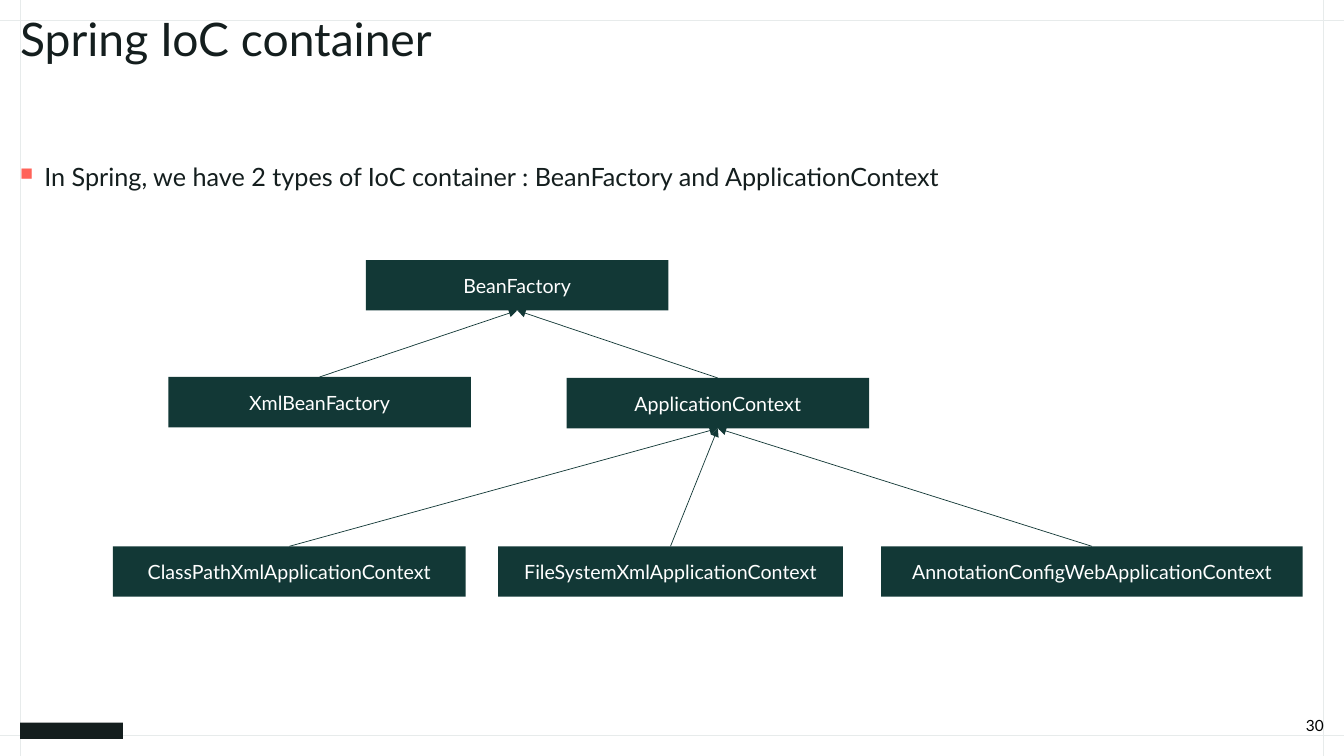
from lxml.etree import SubElement
from pptx import Presentation
from pptx.dml.color import RGBColor
from pptx.enum.shapes import MSO_CONNECTOR, MSO_SHAPE
from pptx.enum.text import MSO_ANCHOR, MSO_AUTO_SIZE, PP_ALIGN
from pptx.oxml.ns import qn
from pptx.util import Inches, Pt

INK = RGBColor(0x14, 0x1E, 0x1E)
GREEN = RGBColor(0x12, 0x38, 0x36)
CORAL = RGBColor(0xFF, 0x63, 0x59)
GUIDE = RGBColor(0xE7, 0xEB, 0xEB)
WHITE = RGBColor(0xFF, 0xFF, 0xFF)
BLACK = RGBColor(0x00, 0x00, 0x00)
FONT = "Lato"
BOX_HEIGHT = 0.5

CLASSES = {
    "BeanFactory": (2.51, 0, 3),
    "ApplicationContext": (4.5, 1.17, 3),
    "XmlBeanFactory": (0.55, 1.16, 3),
    "ClassPathXmlApplicationContext": (0, 2.84, 3.5),
    "FileSystemXmlApplicationContext": (3.82, 2.84, 3.42),
    "AnnotationConfigWebApplicationContext": (7.62, 2.84, 4.18),
}
PARENTS = {
    "ApplicationContext": "BeanFactory",
    "XmlBeanFactory": "BeanFactory",
    "ClassPathXmlApplicationContext": "ApplicationContext",
    "FileSystemXmlApplicationContext": "ApplicationContext",
    "AnnotationConfigWebApplicationContext": "ApplicationContext",
}


def write(frame, text, size, color, anchor=MSO_ANCHOR.TOP, margins=(0, 0)):
    """Fill a text frame with one formatted paragraph and return it."""
    frame.word_wrap = True
    frame.auto_size = MSO_AUTO_SIZE.NONE
    frame.vertical_anchor = anchor
    frame.margin_left = frame.margin_right = Inches(margins[0])
    frame.margin_top = frame.margin_bottom = Inches(margins[1])
    paragraph = frame.paragraphs[0]
    paragraph.text = text
    paragraph.font.name = FONT
    paragraph.font.size = Pt(size)
    paragraph.font.color.rgb = color
    return paragraph


def add_line(slide, start, end, color, width):
    """Draw a straight line without a shadow."""
    line = slide.shapes.add_connector(
        MSO_CONNECTOR.STRAIGHT, *(Inches(value) for value in (*start, *end)))
    line.line.color.rgb = color
    line.line.width = Pt(width)
    SubElement(line._element.spPr, qn("a:effectLst"))
    return line


def add_block(slide, left, top, width, height, color):
    """Place a plain filled rectangle."""
    block = slide.shapes.add_shape(
        MSO_SHAPE.RECTANGLE, Inches(left), Inches(top), Inches(width), Inches(height))
    block.shadow.inherit = False
    block.fill.solid()
    block.fill.fore_color.rgb = color
    block.line.fill.background()
    return block


def add_guides(slide, width, height, margin):
    """Rule the four margin lines across the slide."""
    for x in (margin, width - margin):
        add_line(slide, (x, 0), (x, height), GUIDE, 0.72)
    for y in (margin, height - margin):
        add_line(slide, (0, y), (width, y), GUIDE, 0.72)


def add_title(slide, left, top, width, height):
    """Move and format the title placeholder."""
    title = slide.shapes.title
    title.left, title.top = Inches(left), Inches(top)
    title.width, title.height = Inches(width), Inches(height)
    paragraph = write(title.text_frame, "Spring IoC container", 33, INK)
    paragraph.alignment = PP_ALIGN.LEFT
    paragraph.line_spacing = 0.83


def add_statement(slide, left, top, width, height):
    """Place the bulleted statement."""
    statement = slide.shapes.add_textbox(
        Inches(left), Inches(top), Inches(width), Inches(height))
    paragraph = write(
        statement.text_frame,
        "In Spring, we have 2 types of IoC container : BeanFactory and ApplicationContext",
        18, INK)
    paragraph.line_spacing = 1.1
    paragraph.space_after = Pt(6)
    properties = paragraph._p.get_or_add_pPr()
    properties.set("marL", str(Inches(0.24)))
    properties.set("indent", str(-Inches(0.24)))
    defaults = properties.find(qn("a:defRPr"))
    bullet_color = SubElement(properties, qn("a:buClr"))
    SubElement(bullet_color, qn("a:srgbClr"), val=str(CORAL))
    SubElement(properties, qn("a:buSzPct"), val="70000")
    SubElement(properties, qn("a:buChar"), char="■")
    properties.append(defaults)


def add_hierarchy(slide, left, top):
    """Draw the class boxes and the arrows from each class to its parent."""
    boxes = {}
    for name, (x, y, width) in CLASSES.items():
        box = add_block(slide, left + x, top + y, width, BOX_HEIGHT, GREEN)
        label = write(box.text_frame, name, 14, WHITE, MSO_ANCHOR.MIDDLE, (0.08, 0.04))
        label.alignment = PP_ALIGN.CENTER
        boxes[name] = box
    for child, parent in PARENTS.items():
        arrow = add_line(slide, (left, top), (left, top), GREEN, 0.5)
        arrow.begin_connect(boxes[child], 0)
        arrow.end_connect(boxes[parent], 2)
        SubElement(arrow.line._get_or_add_ln(), qn("a:tailEnd"), type="triangle")


def add_footer(slide, left, top, width, height):
    """Place the brand block at the left and the page number at the right."""
    add_block(slide, left, top + 0.09, 1.02, 0.16, INK)
    number_width = 2.97
    number = slide.shapes.add_textbox(
        Inches(left + width - number_width), Inches(top),
        Inches(number_width), Inches(height))
    paragraph = write(number.text_frame, "30", 11, BLACK, MSO_ANCHOR.BOTTOM)
    paragraph.alignment = PP_ALIGN.RIGHT


def main():
    """Build and save the slide."""
    presentation = Presentation()
    presentation.slide_width, presentation.slide_height = Inches(13.33), Inches(7.5)
    slide = presentation.slides.add_slide(presentation.slide_layouts[5])
    add_guides(slide, 13.33, 7.5, 0.2)
    add_title(slide, 0.2, 0.2, 12.93, 1.04)
    add_statement(slide, 0.2, 1.57, 12.93, 4.99)
    add_hierarchy(slide, 1.12, 2.58)
    add_footer(slide, 0.2, 7.08, 12.93, 0.21)
    presentation.save("out.pptx")


if __name__ == "__main__":
    main()
